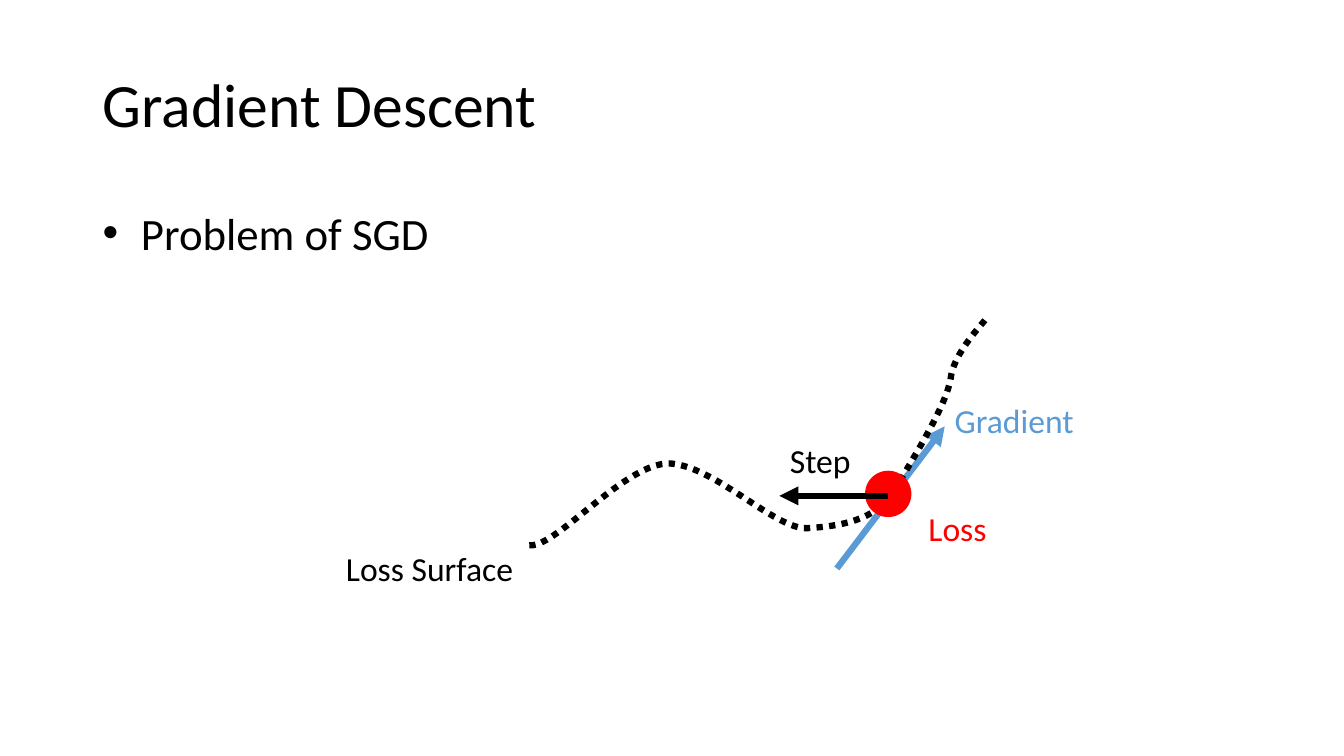
from lxml import etree
from pptx import Presentation
from pptx.dml.color import RGBColor
from pptx.enum.dml import MSO_LINE
from pptx.enum.shapes import MSO_CONNECTOR, MSO_SHAPE
from pptx.enum.text import MSO_ANCHOR, PP_ALIGN
from pptx.oxml.ns import qn
from pptx.util import Pt

PX = 9144  # 100 px to the inch
OVAL = MSO_SHAPE.OVAL
STRAIGHT = MSO_CONNECTOR.STRAIGHT
DOTTED = MSO_LINE.ROUND_DOT
MIDDLE, TOP = MSO_ANCHOR.MIDDLE, MSO_ANCHOR.TOP
LEFT, CENTER = PP_ALIGN.LEFT, PP_ALIGN.CENTER

BLACK, WHITE, BLUE, RED = "000000", "FFFFFF", "5B9BD5", "FF0000"
LINE_WIDTH = Pt(4.5)
CURVE_STEPS = 24


def rgb(color):
    return RGBColor.from_string(color)


def add_text(text, box, size, color, align=LEFT, anchor=TOP, wrap=False):
    tb = s.shapes.add_textbox(*(v * PX for v in box))
    tf = tb.text_frame
    tf.word_wrap = wrap
    tf.vertical_anchor = anchor
    p = tf.paragraphs[0]
    p.text = text
    p.alignment = align
    font = p.runs[0].font
    font.name, font.size = "Calibri", Pt(size)
    font.color.rgb = rgb(color)
    return tb


prs = Presentation()
prs.slide_width, prs.slide_height = 1333 * PX, 750 * PX
s = prs.slides.add_slide(prs.slide_layouts[6])

# Title and bullet
add_text("Gradient Descent", (92, 30, 1150, 145), 44, BLACK, anchor=MIDDLE, wrap=True)
body = add_text("Problem of SGD", (92, 199, 1150, 476), 32, BLACK, wrap=True)
pPr = body.text_frame.paragraphs[0]._p.get_or_add_pPr()
pPr.set("marL", str(38 * PX))
pPr.set("indent", str(-38 * PX))
etree.SubElement(pPr, qn("a:buFont"), typeface="Arial")
etree.SubElement(pPr, qn("a:buChar"), char="•")

# Gradient arrow, loss surface, loss point and step arrow, from back to front
arrows = [(830, 564, 937, 423, BLUE), (881, 492, 773, 492, BLACK)]
for i, (x1, y1, x2, y2, color) in enumerate(arrows):
    arrow = s.shapes.add_connector(STRAIGHT, x1 * PX, y1 * PX, x2 * PX, y2 * PX)
    arrow.line.width = LINE_WIDTH
    arrow.line.color.rgb = rgb(color)
    etree.SubElement(arrow.line._get_or_add_ln(), qn("a:tailEnd"), type="triangle")
    etree.SubElement(arrow._element.spPr, qn("a:effectLst"))
    if i > 0:
        continue

    # Each Bezier segment: two control points and an end point
    start = (525, 541)
    segments = [
        ((552, 544), (623, 455), (667, 460)),
        ((712, 465), (770, 526), (801, 524)),
        ((832, 522), (870, 517), (888, 485)),
        ((906, 454), (939, 402), (943, 375)),
        ((946, 349), (978, 318), (978, 316)),
    ]
    points = []
    p0 = start
    for p1, p2, p3 in segments:
        for step in range(1, CURVE_STEPS + 1):
            t = step / CURVE_STEPS
            u = 1 - t
            points.append(tuple(
                round((u**3 * a + 3 * u * u * t * b + 3 * u * t * t * c + t**3 * d) * PX)
                for a, b, c, d in zip(p0, p1, p2, p3)))
        p0 = p3
    builder = s.shapes.build_freeform(start[0] * PX, start[1] * PX)
    builder.add_line_segments(points, close=False)
    surface = builder.convert_to_shape()
    surface.shadow.inherit = False
    surface.fill.background()
    surface.line.width = LINE_WIDTH
    surface.line.color.rgb = rgb(BLACK)
    surface.line.dash_style = DOTTED

    loss = s.shapes.add_shape(OVAL, 858 * PX, 467 * PX, 46 * PX, 46 * PX)
    loss.shadow.inherit = False
    loss.fill.solid()
    loss.fill.fore_color.rgb = rgb(RED)
    loss.line.fill.background()

# Labels
add_text("Gradient", (937, 392, 139, 50), 24, BLUE)
add_text("Loss", (911, 499, 78, 50), 24, RED)
for text, box in [("Loss Surface", (332, 539, 188, 50)), ("Step", (773, 431, 81, 50))]:
    label = add_text(text, box, 24, BLACK, CENTER, MIDDLE)
    label.fill.solid()
    label.fill.fore_color.rgb = rgb(WHITE)

prs.save("out.pptx")
